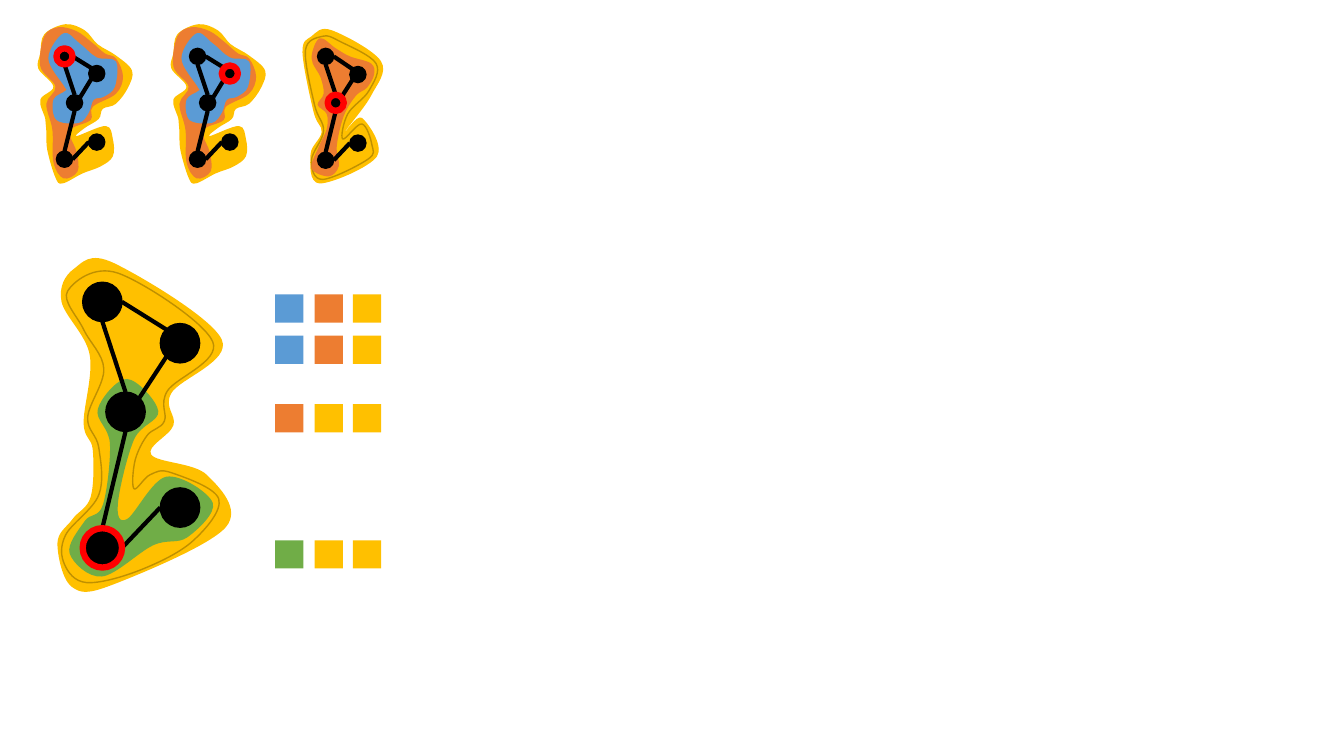
"""Build a slide of four small graphs with nested halos and a colour table."""
from lxml import etree
from pptx import Presentation
from pptx import util as u
from pptx.dml.color import RGBColor
from pptx.enum import shapes as kinds
from pptx.oxml.ns import qn

PX = 9144
WIDE, HIGH = 1333, 750
HEX = {"blue": "5B9BD5", "orange": "ED7D31", "gold": "FFC000", "green": "70AD47",
       "brown": "BF9000", "black": "000000", "red": "FF0000"}

TILE = 28
COLS = (273, 312, 350)
ROWS = [
    (401, ("orange", "gold", "gold")),
    (333, ("blue", "orange", "gold")),
    (292, ("blue", "orange", "gold")),
    (536, ("green", "gold", "gold")),
]

BIG_HALOS = [
    ("gold", None, [
        (73, 267), (113, 261), (220, 337), (170, 390), (172, 422), (150, 451),
        (205, 471), (224, 523), (112, 580), (71, 582), (57, 539), (72, 515),
        (90, 493), (92, 446), (83, 420), (89, 352), (61, 299)]),
    ("gold", "brown", [
        (67, 289), (83, 327), (103, 366), (87, 414), (98, 444), (98, 491),
        (65, 531), (64, 560), (86, 578), (138, 566), (191, 537), (217, 495),
        (170, 469), (149, 471), (133, 485), (134, 457), (146, 432), (163, 418),
        (166, 388), (211, 339), (117, 271)]),
    ("green", None, [
        (69, 549), (84, 517), (102, 501), (109, 440), (97, 406), (126, 376),
        (157, 408), (133, 436), (117, 499), (126, 515), (165, 473), (211, 499),
        (186, 533), (152, 541), (101, 572)]),
]
SMALL_HALOS = [
    ("gold", None, [
        (65, 24), (84, 30), (97, 44), (115, 55), (131, 70), (127, 87),
        (115, 103), (102, 108), (98, 118), (84, 127), (76, 135), (105, 125),
        (112, 138), (112, 155), (100, 165), (82, 172), (62, 182), (55, 176),
        (47, 149), (46, 130), (45, 118), (40, 99), (53, 86), (38, 68),
        (40, 53), (44, 34)]),
    ("orange", None, [
        (44, 36), (40, 66), (55, 86), (46, 103), (52, 129), (53, 161),
        (63, 177), (77, 170), (76, 151), (70, 136), (72, 127), (90, 119),
        (92, 106), (115, 93), (122, 76), (115, 58), (104, 53), (91, 42),
        (76, 31), (58, 27)]),
    ("blue", None, [
        (65, 90), (64, 86), (48, 58), (63, 33), (79, 43), (96, 57), (115, 61),
        (114, 86), (103, 96), (93, 99), (88, 112), (78, 122), (56, 119),
        (53, 99)]),
]
LAST_HALOS = [
    ("gold", None, [
        (309, 36), (329, 30), (378, 61), (368, 95), (342, 131), (359, 117),
        (374, 155), (317, 182), (308, 153), (319, 131), (311, 111), (300, 52)]),
    ("gold", "brown", [
        (303, 50), (320, 36), (337, 41), (373, 63), (366, 90), (345, 113),
        (340, 138), (359, 123), (369, 144), (365, 158), (320, 178), (309, 159),
        (321, 130), (312, 104)]),
    ("orange", None, [
        (324, 113), (315, 104), (321, 93), (318, 77), (309, 58), (317, 38),
        (333, 48), (347, 56), (368, 63), (371, 74), (364, 87), (353, 95),
        (341, 115), (334, 145), (336, 165), (326, 175), (309, 167), (316, 146),
        (324, 128)]),
]

BIG_NODES = [(82, 280), (159, 321), (105, 389), (82, 524), (159, 484)]
SMALL_NODES = [(56, 48), (88, 65), (66, 94), (56, 150), (88, 133)]
LAST_NODES = [(315, 48), (347, 66), (325, 94), (315, 151), (347, 134)]
GRAPHS = [
    (0, 39, BIG_NODES, BIG_HALOS, 3),
    (0, 16, SMALL_NODES, SMALL_HALOS, 0),
    (132, 16, SMALL_NODES, SMALL_HALOS, 1),
    (0, 16, LAST_NODES, LAST_HALOS, 2),
]
SITES = {"top": (.5, 0), "left": (0, .5), "low": (.5, 1), "right": (1, .5),
         "top left": (.15, .15), "top right": (.85, .15), "low left": (.15, .85)}
LINKS = [(0, "right", 1, "top left"), (0, "low", 2, "top"), (2, "low", 3, "top"),
         (3, "right", 4, "left"), (2, "top right", 1, "low left")]


def emu(*vals):
    return [round(val * PX) for val in vals]


def rgb(name):
    return RGBColor.from_string(HEX[name])


def paint(shape, fill, edge=None, width=1):
    shape.shadow.inherit = False
    shape.fill.solid()
    shape.fill.fore_color.rgb = rgb(fill)
    if edge:
        shape.line.color.rgb = rgb(edge)
        shape.line.width = u.Pt(width)
    else:
        shape.line.fill.background()


def bend(shape):
    """Turn the straight sides of a closed outline into one smooth curve."""
    trace = next(shape._element.iter(qn("a:path")))
    knots = [(int(pt.get("x")), int(pt.get("y"))) for pt in trace.iter(qn("a:pt"))]
    for side in trace.findall(qn("a:lnTo")):
        trace.remove(side)
    close = trace.find(qn("a:close"))
    count = len(knots)
    for i in range(count):
        quad = [knots[(i + k) % count] for k in (-1, 0, 1, 2)]
        trio = zip(*((b + (c - a) / 6, c - (d - b) / 6, c)
                     for a, b, c, d in zip(*quad)))
        curve = etree.Element(qn("a:cubicBezTo"))
        for x, y in trio:
            etree.SubElement(curve, qn("a:pt"), x=str(round(x)), y=str(round(y)))
        close.addprevious(curve)


def halo(shapes, dx, fill, edge, knots):
    points = [emu(x + dx, y) for x, y in knots]
    pen = shapes.build_freeform(*points[0])
    pen.add_line_segments(points[1:], close=True)
    shape = pen.convert_to_shape()
    bend(shape)
    paint(shape, fill, edge)


def link(shapes, start, end):
    line = shapes.add_connector(kinds.MSO_CONNECTOR.STRAIGHT, *emu(*start, *end))
    line.line.color.rgb = rgb("black")
    line.line.width = u.Pt(3)
    etree.SubElement(line._element.spPr, qn("a:effectLst"))


def graph(shapes, dx, size, nodes, halos, chosen):
    spots = [(x + dx, y) for x, y in nodes]

    def site(node, side):
        return [at + size * part for at, part in zip(spots[node], SITES[side])]

    for fill, edge, knots in halos:
        halo(shapes, dx, fill, edge, knots)
    for tail, out, head, into in LINKS:
        link(shapes, site(tail, out), site(head, into))
    for i, (x, y) in enumerate(spots):
        dot = shapes.add_shape(kinds.MSO_SHAPE.OVAL, *emu(x, y, size, size))
        ring = ("red", 4.5) if i == chosen else ("black", 1)
        paint(dot, "black", *ring)


def main():
    deck = Presentation()
    deck.slide_width, deck.slide_height = emu(WIDE, HIGH)
    slide = deck.slides.add_slide(deck.slide_layouts[6])
    table = slide.shapes.add_group_shape().shapes
    for y, fills in ROWS:
        for x, fill in zip(COLS, fills):
            tile = table.add_shape(kinds.MSO_SHAPE.RECTANGLE, *emu(x, y, TILE, TILE))
            paint(tile, fill)
    for parts in GRAPHS:
        graph(slide.shapes.add_group_shape().shapes, *parts)
    deck.save("out.pptx")


if __name__ == "__main__":
    main()
